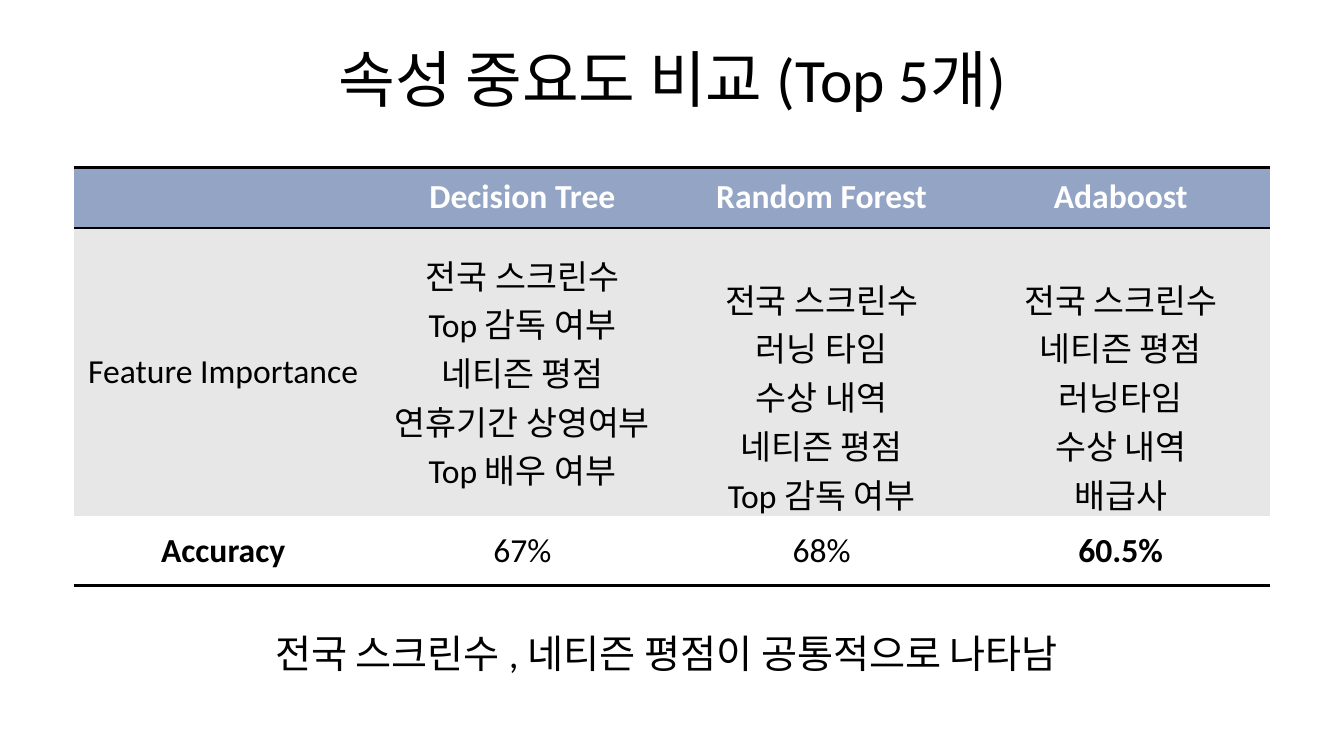
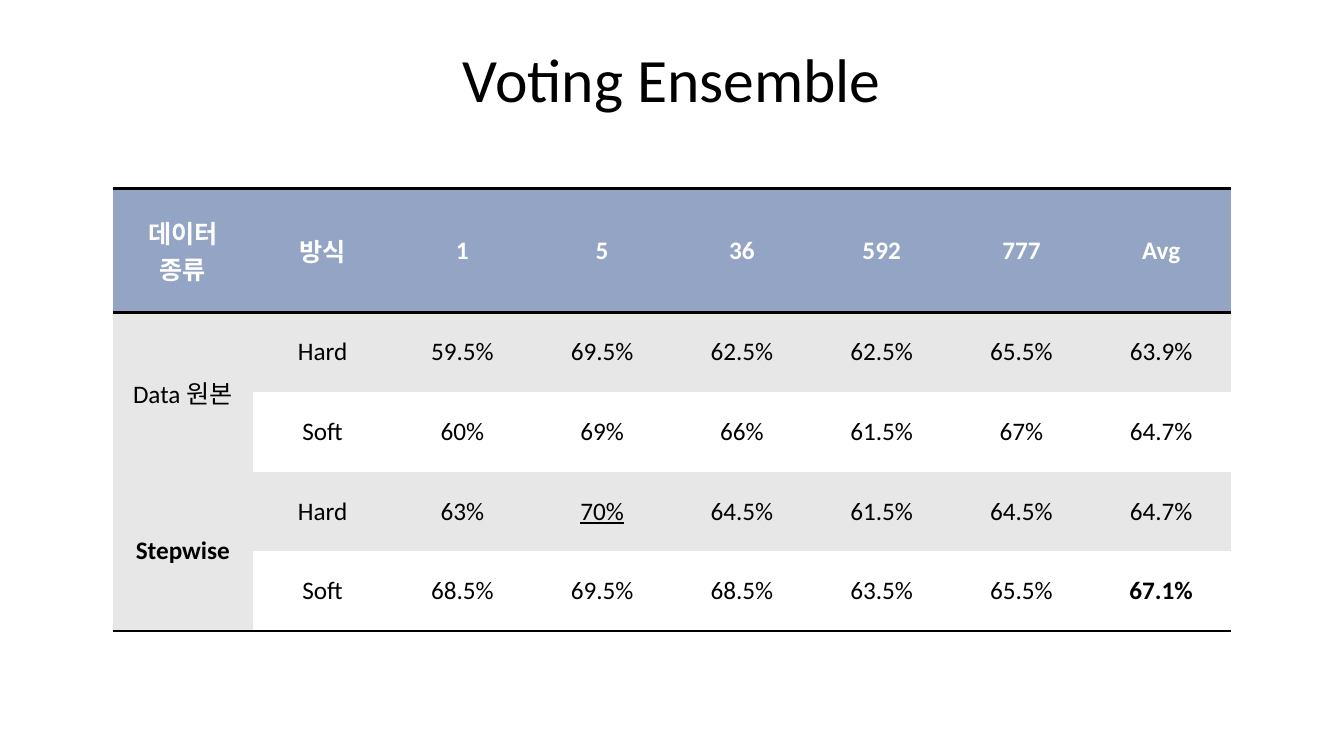
"""Build two slides that compare model features and voting results."""
from lxml import etree
from pptx import Presentation
from pptx import util as u
from pptx.dml.color import RGBColor
from pptx.enum import text
from pptx.oxml import ns

BLACK, WHITE, HEADER, BAND = "000000", "FFFFFF", "93A4C5", "E7E7E7"
NO_STYLE = "{2D5ABB26-0587-4C30-8999-92F81FD0307C}"


def rgb(value):
    """Turn a hex string into a colour."""
    return RGBColor.from_string(value)


def write(tf, content, size=18, color=BLACK, bold=False, underline=False,
          align=text.PP_ALIGN.CENTER):
    """Fill a text frame, one paragraph for each line of text."""
    tf.word_wrap = True
    for i, line in enumerate(content.split("\n")):
        p = tf.paragraphs[0] if i == 0 else tf.add_paragraph()
        p.alignment = align
        r = p.add_run()
        r.text = line
        r.font.name = "Calibri"
        r.font.size = u.Pt(size)
        r.font.bold = bold
        r.font.underline = underline
        r.font.color.rgb = rgb(color)


def rule(cell, *sides):
    """Draw black lines on the named sides of a cell."""
    tc_pr = cell._tc.get_or_add_tcPr()
    for i, side in enumerate(sides):
        ln = etree.Element(ns.qn(f"a:ln{side}"), w=str(u.Pt(2)))
        fill = etree.SubElement(ln, ns.qn("a:solidFill"))
        etree.SubElement(fill, ns.qn("a:srgbClr"), val=BLACK)
        tc_pr.insert(i, ln)


class Deck:
    """Holds the presentation, its style and the current slide."""

    def __init__(self):
        """Start an empty wide presentation."""
        self.prs = Presentation()
        self.prs.slide_width = u.Inches(13.33)
        self.prs.slide_height = u.Inches(7.5)
        self.s = None

    def slide(self, title):
        """Add a slide with a centred title."""
        self.s = self.prs.slides.add_slide(self.prs.slide_layouts[5])
        sp = self.s.shapes.title
        sp.left, sp.top = u.Inches(2.42), u.Inches(0.36)
        sp.width, sp.height = u.Inches(8.49), u.Inches(0.84)
        tf = sp.text_frame
        tf.vertical_anchor = text.MSO_ANCHOR.TOP
        tf.auto_size = text.MSO_AUTO_SIZE.SHAPE_TO_FIT_TEXT
        write(tf, title, size=44)

    def note(self, content, left, top, width, height):
        """Add a left-aligned remark."""
        sp = self.s.shapes.add_textbox(*map(u.Inches, (left, top, width, height)))
        write(sp.text_frame, content, size=28, align=text.PP_ALIGN.LEFT)

    def table(self, rows, left, top, width, heights, size,
              bold=(), underline=(), merged=(), lowered=()):
        """Add a banded table with rules around its header and at its foot."""
        n_rows, n_cols = len(rows), len(rows[0])
        frame = self.s.shapes.add_table(
            n_rows, n_cols, *map(u.Inches, (left, top, width, sum(heights))))
        table = frame.table
        table._tbl.tblPr.find(ns.qn("a:tableStyleId")).text = NO_STYLE
        for row, height in zip(table.rows, heights):
            row.height = u.Inches(height)
        for r in merged:
            table.cell(r, 0).merge(table.cell(r + 1, 0))
        for r, values in enumerate(rows):
            for c, value in enumerate(values):
                cell = table.cell(r, c)
                head = r == 0
                banded = r % 2 == 1 or (merged and c == 0)
                cell.fill.solid()
                cell.fill.fore_color.rgb = rgb(
                    HEADER if head else BAND if banded else WHITE)
                cell.vertical_anchor = text.MSO_ANCHOR.MIDDLE
                if (r, c) in lowered:
                    cell.margin_top = u.Inches(0.46)
                if value:
                    write(cell.text_frame, value, size=size,
                          color=WHITE if head else BLACK,
                          bold=head or (r, c) in bold,
                          underline=(r, c) in underline)
                last = r + (cell.span_height if cell.is_merge_origin else 1)
                if head:
                    rule(cell, "T", "B")
                elif last == n_rows:
                    rule(cell, "B")


def main():
    """Build and save the slides."""
    deck = Deck()

    deck.slide("속성 중요도 비교 (Top 5개)")
    features = [
        ["", "Decision Tree", "Random Forest", "Adaboost"],
        ["Feature Importance",
         "전국 스크린수\nTop 감독 여부\n네티즌 평점\n연휴기간 상영여부\nTop 배우 여부",
         "전국 스크린수\n러닝 타임\n수상 내역\n네티즌 평점\nTop 감독 여부",
         "전국 스크린수\n네티즌 평점\n러닝타임\n수상 내역\n배급사"],
        ["Accuracy", "67%", "68%", "60.5%"],
    ]
    deck.table(features, 0.73, 1.66, 11.87, [0.6, 2.86, 0.69], 24,
               bold={(2, 0), (2, 3)}, lowered={(1, 2), (1, 3)})
    deck.note("전국 스크린수 , 네티즌 평점이 공통적으로 나타남", 2.63, 6.19, 8.08, 0.57)

    deck.slide("Voting Ensemble")
    votes = [
        ["데이터\n종류", "방식", "1", "5", "36", "592", "777", "Avg"],
        ["Data 원본", "Hard", "59.5%", "69.5%", "62.5%", "62.5%", "65.5%", "63.9%"],
        ["", "Soft", "60%", "69%", "66%", "61.5%", "67%", "64.7%"],
        ["Stepwise", "Hard", "63%", "70%", "64.5%", "61.5%", "64.5%", "64.7%"],
        ["", "Soft", "68.5%", "69.5%", "68.5%", "63.5%", "65.5%", "67.1%"],
    ]
    deck.table(votes, 1.12, 1.87, 11.09, [1.23] + [0.79] * 4, 18,
               bold={(3, 0), (4, 7)}, underline={(3, 3)}, merged=(1, 3))

    deck.prs.save("out.pptx")


if __name__ == "__main__":
    main()
